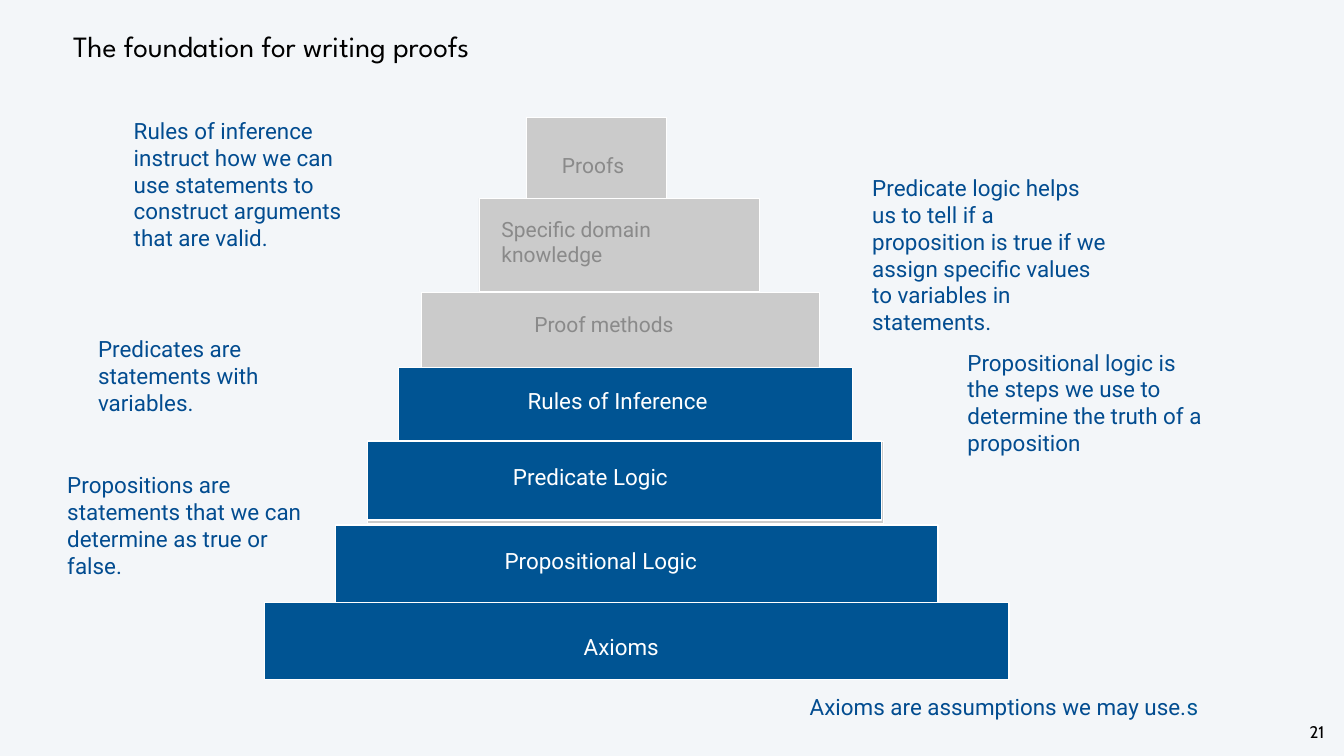
from dataclasses import dataclass

import pptx
import pptx.dml.color
import pptx.enum.shapes
import pptx.enum.text
import pptx.util

Pt = pptx.util.Pt
RGB = pptx.dml.color.RGBColor.from_string
ANCHOR = pptx.enum.text.MSO_ANCHOR
ALIGN = pptx.enum.text.PP_ALIGN


@dataclass(frozen=True)
class Theme:
    background: str = "F3F6F9"
    black: str = "000000"
    white: str = "FFFFFF"
    blue: str = "005493"
    note_blue: str = "024C90"
    grey: str = "CBCBCB"
    grey_text: str = "8A8A8A"
    title_font: str = "League Spartan"
    body_font: str = "Roboto"
    number_font: str = "Cabin"
    title_size: float = 42
    body_size: float = 32
    grey_size: float = 30
    number_size: float = 24


THEME = Theme()


@dataclass(frozen=True)
class Box:
    left: float
    top: float
    width: float
    height: float

    def lengths(self):
        return [Pt(v) for v in (self.left, self.top, self.width, self.height)]


@dataclass(frozen=True)
class Step:
    box: Box
    active: bool
    text: str = ""
    label: Box | None = None


@dataclass(frozen=True)
class Note:
    left: float
    top: float
    lines: int
    text: str


STEPS = [
    Step(Box(752.5, 168, 199, 116), False, "Proofs", Box(792, 206, 119, 61)),
    Step(Box(684, 283, 401, 133), False, "Specific domain knowledge",
         Box(705.5, 320.5, 300, 49.5)),
    Step(Box(602, 417.5, 568, 118), False, "Proof methods", Box(752.5, 437, 258, 52.5)),
    Step(Box(569.5, 526, 648, 106), False),
    Step(Box(479, 750, 861, 112), True, "Propositional Logic", Box(710, 769, 633, 63)),
    Step(Box(378, 861, 1063.5, 110), True, "Axioms", Box(823, 893.5, 297, 61)),
    Step(Box(525, 630, 736.5, 118), False),
    Step(Box(525, 630, 734, 113), True, "Predicate Logic", Box(722, 658, 243, 47)),
    Step(Box(569, 525, 649, 105), True, "Rules of Inference", Box(743, 548.5, 283, 47)),
]

NOTES = [
    Note(89, 670, 4, "Propositions are statements that we can determine as true or false."),
    Note(1375, 494.5, 4,
         "Propositional logic is the steps we use to determine the truth of a proposition"),
    Note(133, 475, 3, "Predicates are statements with variables."),
    Note(1239, 245, 6,
         "Predicate logic helps us to tell if a proposition is true if we assign "
         "specific values to variables in statements."),
    Note(184, 163.5, 5,
         "Rules of inference instruct how we can use statements to construct "
         "arguments that are valid."),
]


def add_text(s, box: Box, text: str, size: float, color: str, font: str = THEME.body_font,
             inset: float | None = None, spacing: float | None = None,
             anchor=ANCHOR.TOP, wrap: bool = True):
    tf = s.shapes.add_textbox(*box.lengths()).text_frame
    tf.word_wrap = wrap
    tf.vertical_anchor = anchor
    if inset is not None:
        tf.margin_left = tf.margin_right = tf.margin_top = tf.margin_bottom = Pt(inset)
    p = tf.paragraphs[0]
    p.add_run().text = text
    p.font.name = font
    p.font.size = Pt(size)
    p.font.color.rgb = RGB(color)
    if spacing is not None:
        p.line_spacing = Pt(spacing)
    return p


def add_label(s, box: Box, text: str, size: float, color: str):
    p = add_text(s, box, text, size, color, inset=4.3, spacing=size + 6,
                 anchor=ANCHOR.MIDDLE)
    p._p.get_or_add_pPr().set("marL", str(Pt(6.5)))
    return p


def add_step(s, step: Step) -> None:
    sp = s.shapes.add_shape(pptx.enum.shapes.MSO_SHAPE.RECTANGLE, *step.box.lengths())
    sp.shadow.inherit = False
    sp.fill.solid()
    sp.fill.fore_color.rgb = RGB(THEME.blue if step.active else THEME.grey)
    sp.line.color.rgb = RGB(THEME.white)
    sp.line.width = Pt(2 if step.active else 0.75)
    if step.label:
        size = THEME.body_size if step.active else THEME.grey_size
        color = THEME.white if step.active else THEME.grey_text
        add_label(s, step.label, step.text, size, color)


def add_note(s, note: Note) -> None:
    box = Box(note.left, note.top, 349, note.lines * 38.5 + 9)
    add_text(s, box, note.text, THEME.body_size, THEME.note_blue)


prs = pptx.Presentation()
prs.slide_width, prs.slide_height = Pt(1920), Pt(1080)
s = prs.slides.add_slide(prs.slide_layouts[6])
s.background.fill.solid()
s.background.fill.fore_color.rgb = RGB(THEME.background)

title = add_text(s, Box(100, 30, 1629, 71), "The foundation for writing proofs",
                 THEME.title_size, THEME.black, THEME.title_font, 4.3, 50, ANCHOR.MIDDLE)
title.space_before = Pt(3)
number = add_text(s, Box(1866, 1029, 31, 34), "21", THEME.number_size, THEME.black,
                  THEME.number_font, 2.9, 28, wrap=False)
number.alignment = ALIGN.CENTER

for step in STEPS:
    add_step(s, step)
for note in NOTES:
    add_note(s, note)

axioms = add_label(s, Box(1146, 985.5, 579, 47), "Axioms are assumptions we may use.",
                   THEME.body_size, THEME.note_blue)
r = axioms.add_run()
r.text = "s"
r.font.color.rgb = RGB(THEME.blue)

prs.save("out.pptx")
